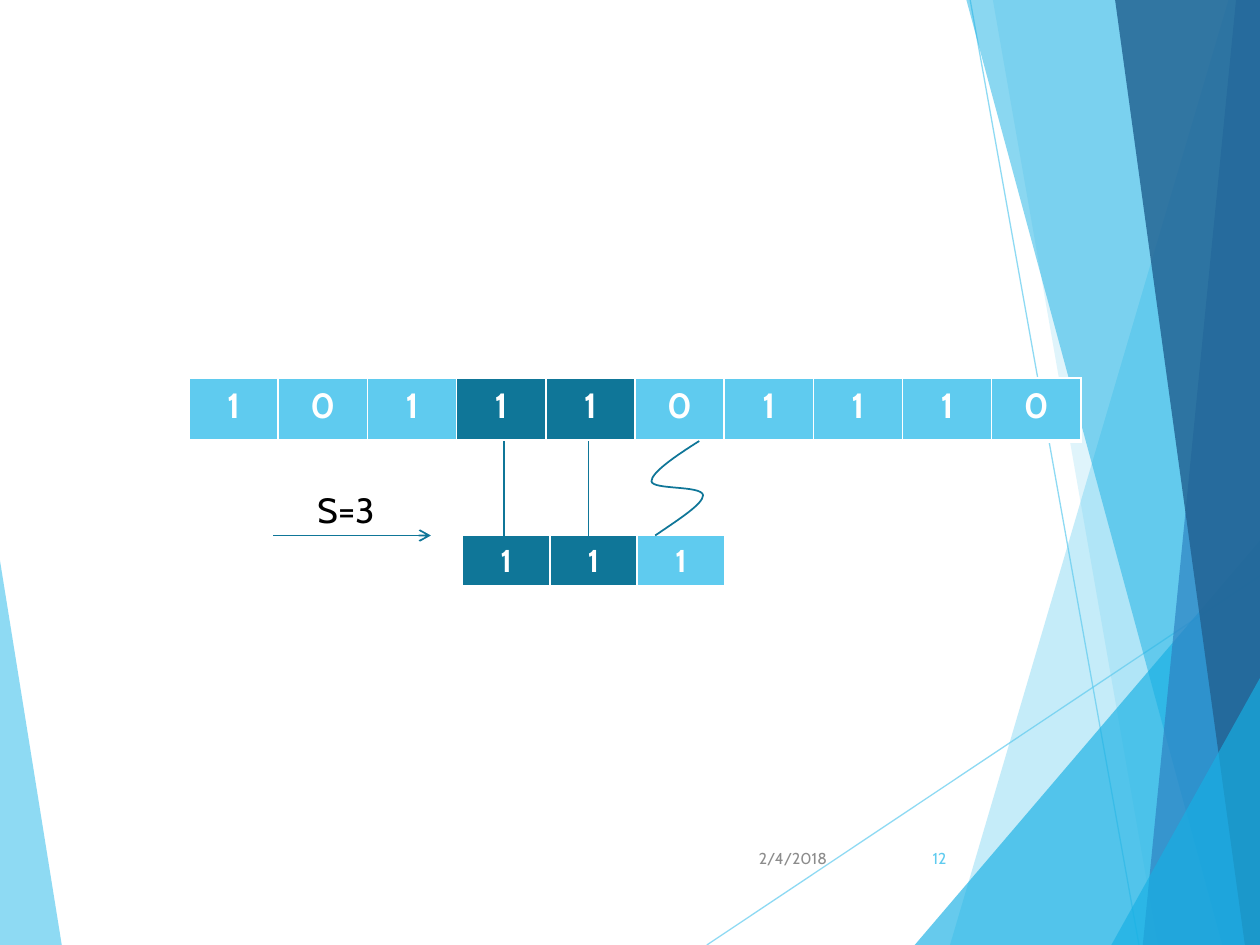
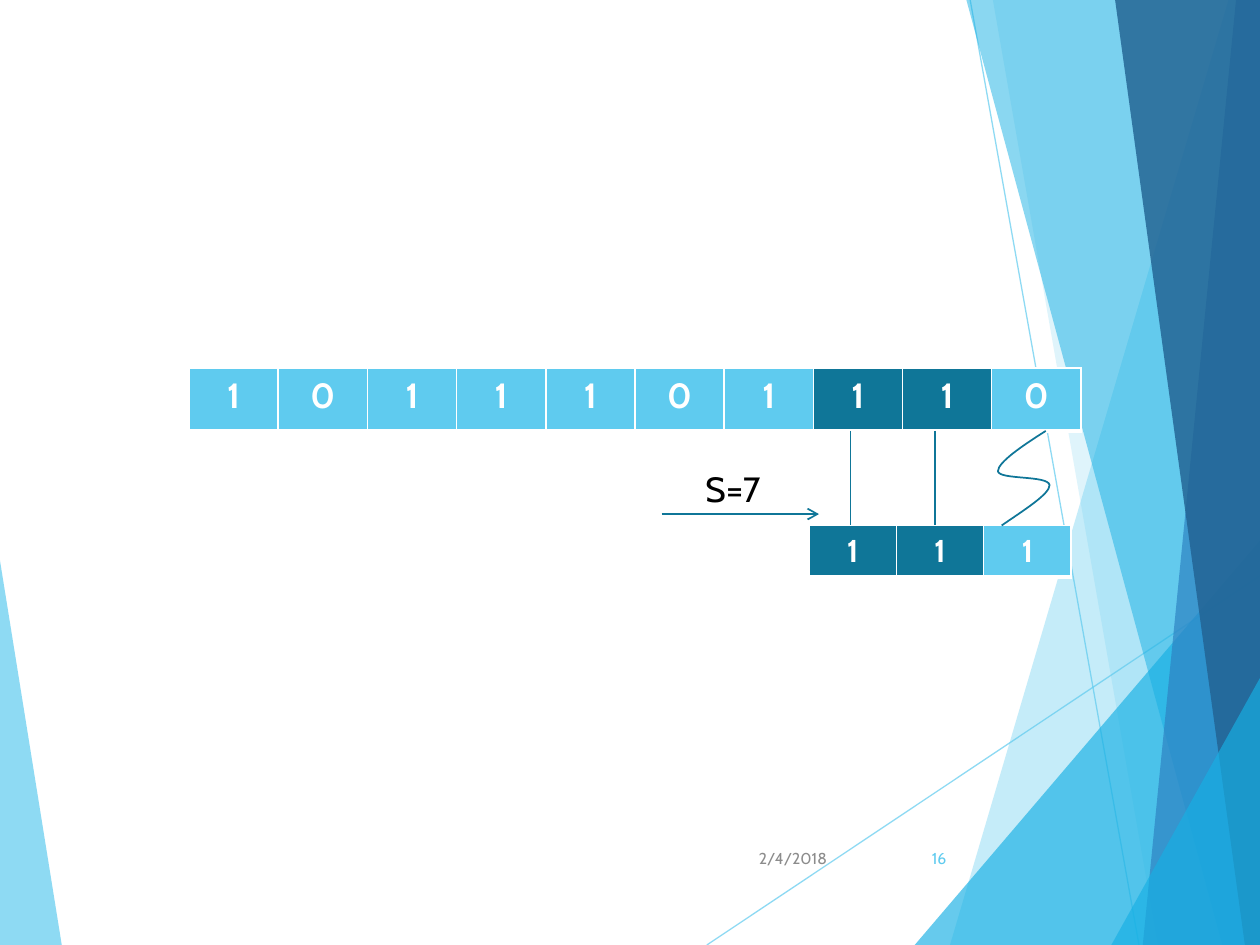
from pptx import Presentation
from pptx.dml.color import RGBColor
from pptx.enum import shapes, text
from pptx.oxml import ns, parse_xml
from pptx.util import Inches, Pt

FONT = "Cabin"
COLORS = {
    "sky": "5FCBEF", "match": "0F7698", "cyan": "17B0E4", "blue": "2E83C3",
    "navy": "226292", "white": "FFFFFF", "black": "000000", "gray": "8C8C8C",
}

# Corner points, colour and opacity of each band, from back to front.
LEFT_BAND = ([(0, 4.45), (0.49, 7.5), (0, 7.5)], "sky", 70)
RIGHT_BANDS = [
    ([(9.75, 0), (7.54, 7.5), (10, 7.5), (10, 0)], "sky", 36),
    ([(7.88, 0), (9.19, 7.5), (10, 7.5), (10, 0)], "sky", 20),
    ([(7.26, 7.5), (10, 4.29), (10, 7.5)], "cyan", 66),
    ([(7.67, 0), (9.7, 7.5), (10, 7.5), (10, 0)], "cyan", 50),
    ([(9.81, 0), (9.07, 7.5), (10, 7.5), (10, 0)], "blue", 70),
    ([(8.85, 0), (9.88, 7.5), (10, 7.5), (10, 0)], "navy", 82),
    ([(8.82, 7.5), (10, 5.38), (10, 7.5)], "cyan", 66),
]
HAIRLINES = [((5.61, 7.5), (10, 4.57)), ((7.7, 0), (9.04, 7.5))]

BITS = "1011101110"
PATTERN = "111"
MATCHED = 2
ROW_HEIGHT = 0.5
LINK_HEIGHT = 0.75
# A start point, then two control points and an end point for each curve.
SQUIGGLE = [
    (0.38, 0), (0.19, 0.12), (0, 0.25), (0, 0.32), (0.01, 0.39),
    (0.4, 0.35), (0.41, 0.43), (0.41, 0.5), (0.22, 0.62), (0.03, 0.75),
]


def rgb(color):
    return RGBColor.from_string(COLORS[color])


def drawing_xml(tag, attributes="", content=""):
    return parse_xml(
        f"<a:{tag} {ns.nsdecls('a')} {attributes}>{content}</a:{tag}>")


def inches(values):
    return [Inches(value) for value in values]


class Painter:
    """Holds the deck style and draws on the current page."""

    def __init__(self, deck):
        self.deck = deck
        self.layout = deck.slide_layouts[6]
        self.page = None

    def new_page(self):
        self.page = self.deck.slides.add_slide(self.layout)

    def fade(self, shape, opacity):
        for color in list(shape.element.spPr.iter(ns.qn("a:srgbClr"))):
            color.append(drawing_xml("alpha", f'val="{opacity * 1000}"'))

    def outline(self, points, closed):
        points = [inches(point) for point in points]
        builder = self.page.shapes.build_freeform(*points[0], scale=1.0)
        builder.add_line_segments(points[1:], close=closed)
        shape = builder.convert_to_shape()
        shape.shadow.inherit = False
        return shape

    def band(self, points, color, opacity):
        shape = self.outline(points, True)
        shape.fill.solid()
        shape.fill.fore_color.rgb = rgb(color)
        shape.line.fill.background()
        self.fade(shape, opacity)
        return shape

    def curve(self, points, color):
        """Draw cubic curves through a start point and groups of three points."""
        shape = self.outline(points, False)
        shape.fill.background()
        shape.line.color.rgb = rgb(color)
        shape.line.width = Pt(1)
        steps = list(shape.element.iter(ns.qn("a:lnTo")))
        for first, second, end in zip(*[iter(steps)] * 3):
            bezier = drawing_xml("cubicBezTo")
            first.addprevious(bezier)
            for step in (first, second, end):
                bezier.append(step[0])
                step.getparent().remove(step)

    def line(self, start, end, color, width=1, opacity=100, arrow=False):
        line = self.page.shapes.add_connector(
            shapes.MSO_CONNECTOR.STRAIGHT, *inches((*start, *end)))
        line.line.color.rgb = rgb(color)
        line.line.width = Pt(width)
        if opacity < 100:
            self.fade(line, opacity)
        properties = line.element.spPr
        if arrow:
            properties.find(ns.qn("a:ln")).append(
                drawing_xml("tailEnd", 'type="arrow"'))
        properties.append(drawing_xml("effectLst"))
        return line

    def add_text(self, frame, words, size, color, align, bold=False):
        para = frame.paragraphs[0]
        para.alignment = align
        span = para.add_run()
        span.text = words
        span.font.name = FONT
        span.font.size = Pt(size)
        span.font.bold = bold
        span.font.color.rgb = rgb(color)

    def text_box(self, words, place, size, color, align=text.PP_ALIGN.LEFT,
                 anchor=text.MSO_ANCHOR.TOP):
        box = self.page.shapes.add_textbox(*inches(place))
        box.text_frame.word_wrap = True
        box.text_frame.vertical_anchor = anchor
        self.add_text(box.text_frame, words, size, color, align)

    def bit_row(self, bits, place, size, matched):
        """Draw one table row of bits, with the matched positions darker."""
        frame = self.page.shapes.add_table(1, len(bits), *inches(place))
        table = frame.table
        table.first_row = table.horz_banding = False
        for index, bit in enumerate(bits):
            cell = table.cell(0, index)
            cell.fill.solid()
            cell.fill.fore_color.rgb = rgb("match" if index in matched else "sky")
            self.add_text(cell.text_frame, bit, size, "white",
                          text.PP_ALIGN.CENTER, True)
        self.cell_borders(frame)

    def cell_borders(self, frame):
        white = f'<a:solidFill><a:srgbClr val="{COLORS["white"]}"/></a:solidFill>'
        sides = {"lnL": 1, "lnR": 1, "lnT": 1, "lnB": 3}
        for properties in list(frame.element.iter(ns.qn("a:tcPr"))):
            for position, (side, width) in enumerate(sides.items()):
                properties.insert(
                    position, drawing_xml(side, f'w="{Pt(width)}"', white))

    def backdrop(self):
        """Draw the bands on the current page and move them to its layout."""
        for holder in list(self.layout.placeholders):
            holder.element.getparent().remove(holder.element)
        parts = [self.band(*LEFT_BAND)]
        parts += [self.line(*ends, "sky", 0.75, 70) for ends in HAIRLINES]
        parts += [self.band(*band) for band in RIGHT_BANDS]
        for part in parts:
            self.layout.shapes.element.append(part.element)

    def footer(self, number):
        for words, left, width, color in [
                ("2/4/2018", 5.91, 0.75, "gray"), (number, 7.05, 0.56, "sky")]:
            self.text_box(words, (left, 6.61, width, 0.4), 9, color,
                          text.PP_ALIGN.RIGHT, text.MSO_ANCHOR.MIDDLE)

    def matching_step(self, shift, top, pattern_left, arrow_start):
        """Show the pattern compared with the bits at one shift."""
        links_top = top + ROW_HEIGHT
        pattern_top = links_top + LINK_HEIGHT
        self.bit_row(BITS, (1.5, top, 7.08, ROW_HEIGHT), 20,
                     range(shift, shift + MATCHED))
        self.bit_row(PATTERN, (pattern_left, pattern_top, 2.08, 0.41), 18,
                     range(MATCHED))
        for index in range(MATCHED):
            x = pattern_left + 0.33 + 0.67 * index
            self.line((x, links_top), (x, pattern_top), "match")
        self.curve([(pattern_left + 1.5 + x, links_top + y) for x, y in SQUIGGLE],
                   "match")
        left, y = arrow_start
        self.line((left, y), (left + 1.25, y), "match", arrow=True)
        self.text_box(f"S={shift}", (left + 0.25, y - 0.42, 0.75, 0.44), 20, "black")


def main():
    deck = Presentation()
    deck.slide_width, deck.slide_height = Inches(10), Inches(7.5)
    painter = Painter(deck)

    painter.new_page()
    painter.backdrop()
    painter.matching_step(3, 3, 3.67, (2.17, 4.25))
    painter.footer("12")

    painter.new_page()
    painter.matching_step(7, 2.92, 6.42, (5.25, 4.08))
    painter.footer("16")

    deck.save("out.pptx")


if __name__ == "__main__":
    main()
